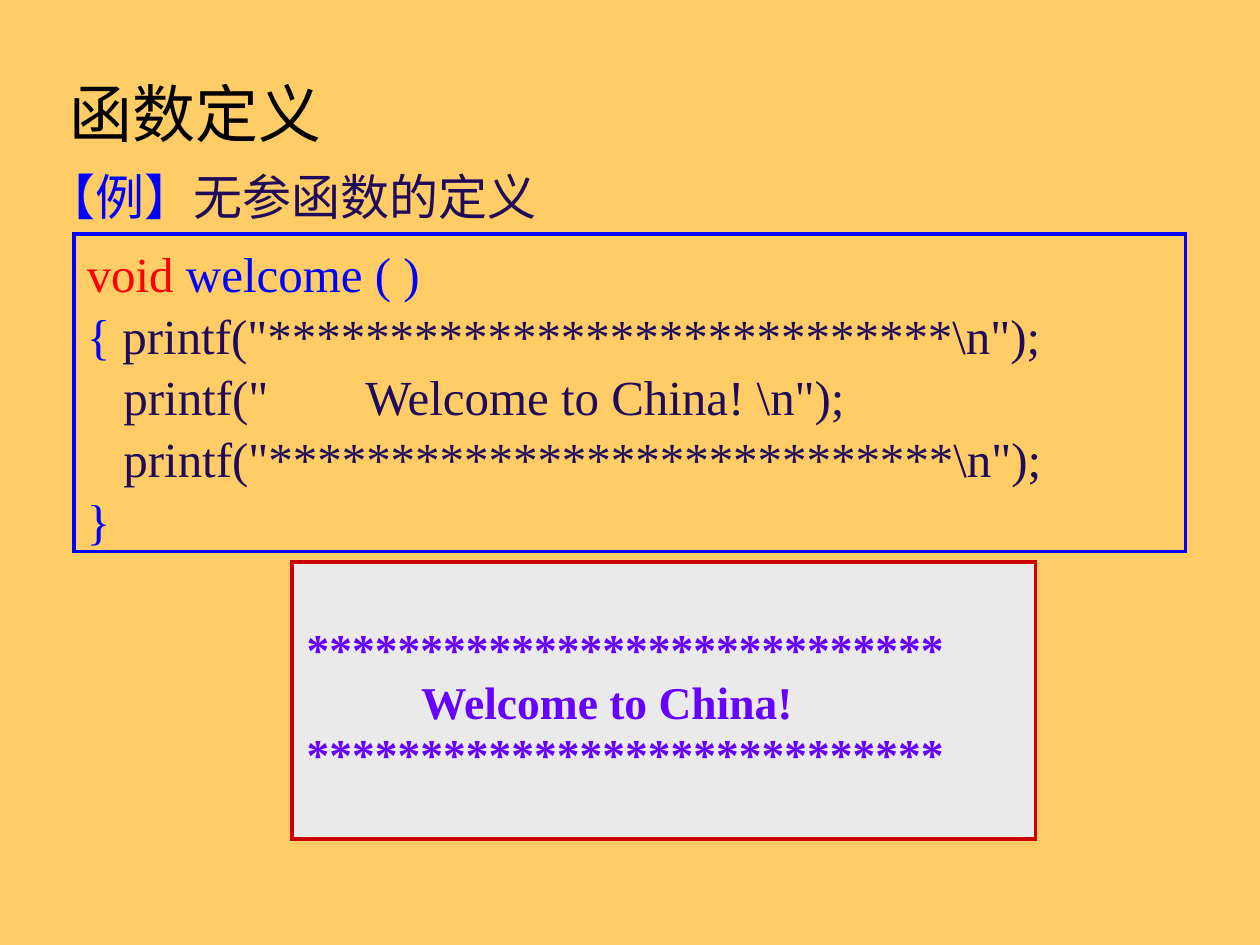
from dataclasses import dataclass

from lxml import etree
from pptx import Presentation
from pptx import util as u
from pptx.dml.color import RGBColor
from pptx.enum import shapes, text
from pptx.oxml.ns import qn


@dataclass(frozen=True)
class Theme:
    """Colours, fonts and type sizes of the deck."""
    page: str = "FFCC66"
    title: str = "000000"
    ink: str = "200B5B"
    accent: str = "0000FF"
    keyword: str = "FF0000"
    output: str = "6600FF"
    output_fill: str = "EAEAEA"
    output_line: str = "CC0000"
    han: str = "Noto Sans CJK SC"
    latin: str = "Times New Roman"
    title_size: int = 36
    text_size: int = 28
    output_size: int = 26


THEME = Theme()
STARS = "*" * 28


def rgb(colour):
    """Turn a hex string into a colour."""
    return RGBColor.from_string(colour)


def place(shape, area):
    """Move a shape to an area given as left, top, width and height in cm."""
    shape.left, shape.top, shape.width, shape.height = map(u.Cm, area)


def write(para, spans, font, size, bold=False):
    """Fill a paragraph with (words, colour) spans in one font."""
    for words, colour in spans:
        span = para.add_run()
        span.text = words
        span.font.size = u.Pt(size)
        span.font.bold = bold
        span.font.color.rgb = rgb(colour)
        span.font.name = font
        east_asian = etree.SubElement(span.font._element, qn("a:ea"))
        east_asian.set("typeface", font)


def indent(para, left, first=0):
    """Set the left and first-line indents in cm and drop the bullet."""
    props = para._p.get_or_add_pPr()
    props.set("marL", str(u.Cm(left)))
    props.set("indent", str(u.Cm(first)))
    etree.SubElement(props, qn("a:buNone"))


def add_panel(page, area, line, width, fill=None):
    """Add a sharp-cornered outlined rectangle with text from the top left."""
    box = page.shapes.add_shape(shapes.MSO_SHAPE.RECTANGLE, *map(u.Cm, area))
    box.shadow.inherit = False
    box.line.color.rgb = rgb(line)
    box.line.width = u.Pt(width)
    corner = etree.SubElement(box.line._get_or_add_ln(), qn("a:miter"))
    corner.set("lim", "800000")
    if fill:
        box.fill.solid()
        box.fill.fore_color.rgb = rgb(fill)
    else:
        box.fill.background()
    box.text_frame.word_wrap = True
    box.text_frame.vertical_anchor = text.MSO_ANCHOR.TOP
    return box


def add_lines(frame, lines, font, size, spacing, gap=0, bold=False):
    """Write one left-aligned paragraph for each line of spans."""
    for number, spans in enumerate(lines):
        para = frame.add_paragraph() if number else frame.paragraphs[0]
        para.alignment = text.PP_ALIGN.LEFT
        para.line_spacing = spacing
        para.space_before = u.Pt(gap if number else 0)
        write(para, spans, font, size, bold)


def fill_title(page, area):
    """Place and format the title."""
    box = page.shapes.title
    place(box, area)
    frame = box.text_frame
    frame.auto_size = text.MSO_AUTO_SIZE.NONE
    frame.vertical_anchor = text.MSO_ANCHOR.MIDDLE
    add_lines(frame, [[("函数定义", THEME.title)]], THEME.han, THEME.title_size, 1.0)


def fill_example(page, area):
    """Place and format the example heading in the body placeholder."""
    box = page.placeholders[1]
    place(box, area)
    frame = box.text_frame
    frame.auto_size = text.MSO_AUTO_SIZE.NONE
    indent(frame.paragraphs[0], 0.97, -0.97)
    spans = [("【例】", THEME.accent), ("无参函数的定义", THEME.ink)]
    add_lines(frame, [spans], THEME.han, THEME.text_size, 1.1)


def add_code(page, area):
    """Add the framed function definition."""
    box = add_panel(page, area, THEME.accent, 2.25)
    box.text_frame.margin_top = u.Cm(0.13)
    star_call = f'printf("{STARS}\\n");'
    lines = [
        [("void", THEME.keyword), (" welcome ( )", THEME.accent)],
        [("{ ", THEME.accent), (star_call, THEME.ink)],
        [('   printf("        Welcome to China! \\n");', THEME.ink)],
        [("   " + star_call, THEME.ink)],
        [("}", THEME.accent)],
    ]
    add_lines(box.text_frame, lines, THEME.latin, THEME.text_size, 1.05)


def add_output(page, area):
    """Add the panel that shows what the function prints."""
    box = add_panel(page, area, THEME.output_line, 2, THEME.output_fill)
    frame = box.text_frame
    frame.margin_top = u.Cm(1.41)
    frame.margin_left = u.Cm(0.29)
    lines = [[(words, THEME.output)] for words in (STARS, "Welcome to China!", STARS)]
    add_lines(frame, lines, THEME.latin, THEME.output_size, 0.8, 5, bold=True)
    indent(frame.paragraphs[1], 2.31)


def main():
    """Build the deck and save it."""
    deck = Presentation()
    deck.slide_width, deck.slide_height = u.Cm(25.4), u.Cm(19.05)
    page = deck.slides.add_slide(deck.slide_layouts[1])
    page.background.fill.solid()
    page.background.fill.fore_color.rgb = rgb(THEME.page)
    fill_title(page, (1.14, 1.35, 22.86, 1.83))
    fill_example(page, (0.69, 3.12, 23.39, 1.6))
    add_code(page, (1.5, 4.72, 22.4, 6.4))
    add_output(page, (5.89, 11.33, 14.99, 5.59))
    deck.save("out.pptx")


if __name__ == "__main__":
    main()
